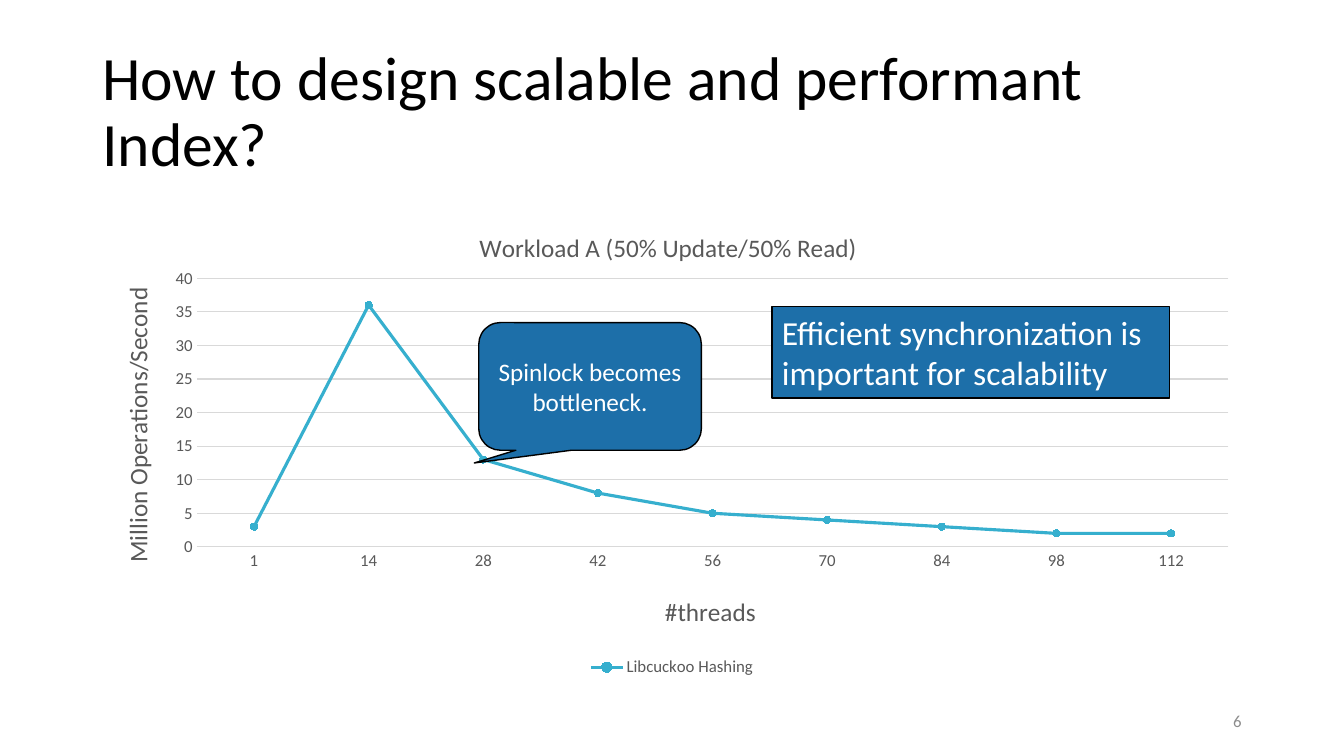
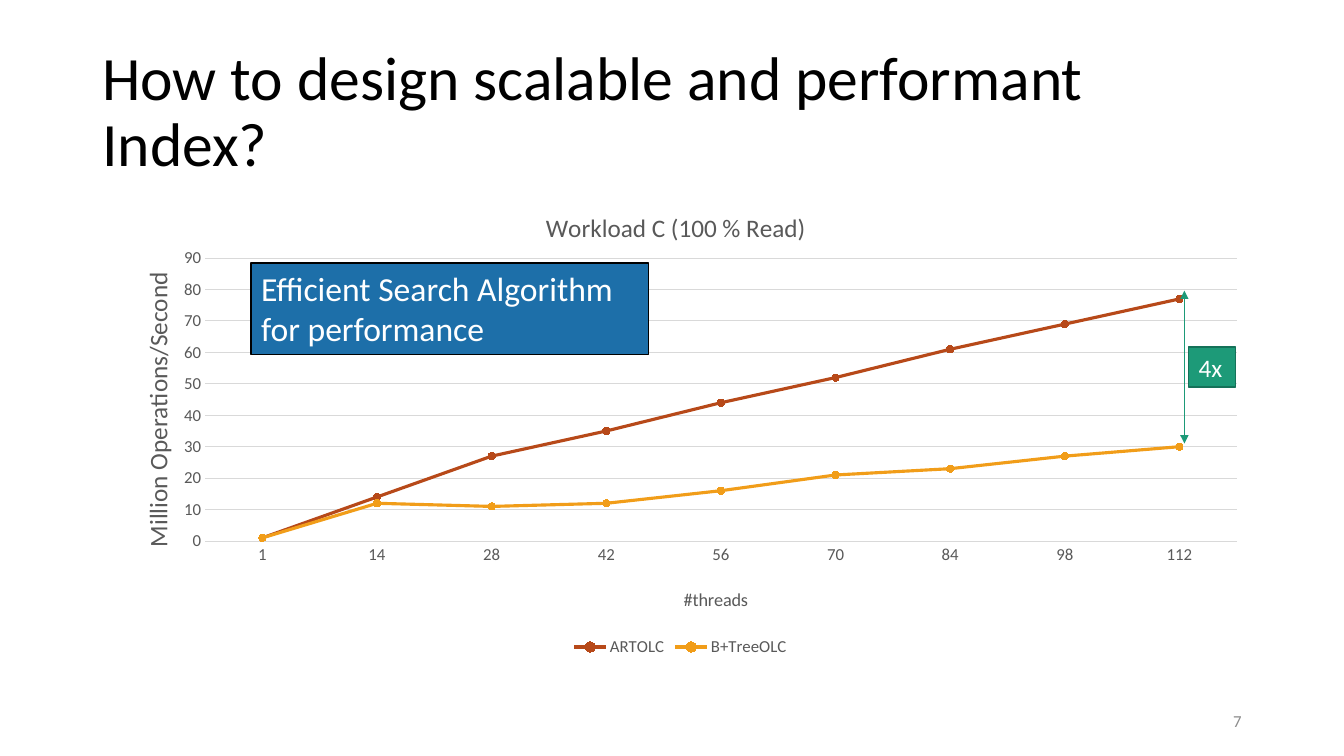
from dataclasses import dataclass

from lxml import etree
from pptx import Presentation
from pptx import util as u
from pptx.chart.data import CategoryChartData
from pptx.dml.color import RGBColor
from pptx.enum import chart as ch, shapes, text
from pptx.oxml import parse_xml
from pptx.oxml.ns import nsdecls, qn


@dataclass(frozen=True)
class Theme:
    font: str = "Calibri"
    black: str = "000000"
    white: str = "FFFFFF"
    gray: str = "595959"
    number: str = "8C8C8C"
    grid: str = "D9D9D9"
    blue: str = "1D6FA9"
    green: str = "1D9A78"
    dark_green: str = "157259"
    cyan: str = "36AFCE"
    red: str = "B74919"
    orange: str = "F19D19"
    title: float = 44
    note: float = 24
    label: float = 18
    axis_title: float = 13
    small: float = 12


T = Theme()
COLS, ROWS = 160, 90
TITLE = "How to design scalable and performant Index?"
THREADS = ["1", "14", "28", "42", "56", "70", "84", "98", "112"]
NOTE_SIZE = (47.3, 10.9)


def rgb(color):
    return RGBColor.from_string(color)


class Deck:
    def __init__(self):
        self.prs = Presentation()
        self.prs.slide_width = u.Inches(13.33)
        self.prs.slide_height = u.Inches(7.5)
        self.s = None

    def x(self, cols):
        return round(self.prs.slide_width * cols / COLS)

    def y(self, rows):
        return round(self.prs.slide_height * rows / ROWS)

    def box(self, left, top, width, height):
        return self.x(left), self.y(top), self.x(width), self.y(height)

    def font(self, f, size, color):
        f.name, f.size, f.bold = T.font, u.Pt(size), False
        f.color.rgb = rgb(color)

    def set_text(self, tf, words, size, color, align="LEFT", anchor="MIDDLE"):
        tf.word_wrap = True
        tf.vertical_anchor = text.MSO_ANCHOR[anchor]
        tf.text = words
        p = tf.paragraphs[0]
        p.alignment = text.PP_ALIGN[align]
        self.font(p.runs[0].font, size, color)
        return p

    def label(self, at, words, size, color, align="LEFT"):
        sp = self.s.shapes.add_textbox(*self.box(*at))
        return self.set_text(sp.text_frame, words, size, color, align)

    def slide(self, number):
        self.s = self.prs.slides.add_slide(self.prs.slide_layouts[6])
        p = self.label((11, 4.8, 140, 17.4), TITLE, T.title, T.black)
        p.line_spacing = 0.9
        self.label((113, 83.4, 36, 4.8), str(number), T.small, T.number, "RIGHT")

    def shape(self, at, words, size, fill=T.blue, line=T.black, kind="RECTANGLE",
              align="LEFT", anchor="TOP", adjust=()):
        sp = self.s.shapes.add_shape(shapes.MSO_SHAPE[kind], *self.box(*at))
        for i, value in enumerate(adjust):
            sp.adjustments[i] = value
        sp.shadow.inherit = False
        sp.fill.solid()
        sp.fill.fore_color.rgb = rgb(fill)
        sp.line.color.rgb = rgb(line)
        sp.line.width = u.Pt(1)
        self.set_text(sp.text_frame, words, size, T.white, align, anchor)

    def double_arrow(self, col, top, bottom, color):
        x = self.x(col)
        cx = self.s.shapes.add_connector(shapes.MSO_CONNECTOR.STRAIGHT,
                                         x, self.y(top), x, self.y(bottom))
        cx.line.color.rgb = rgb(color)
        cx.line.width = u.Pt(0.5)
        ln = cx.line._get_or_add_ln()
        for end in ("a:headEnd", "a:tailEnd"):
            etree.SubElement(ln, qn(end), type="triangle")
        etree.SubElement(cx._element.spPr, qn("a:effectLst"))

    def place(self, parent, index, **shares):
        layout = parent.find(qn("c:layout"))
        if layout is not None:
            parent.remove(layout)
        inner = '<c:layoutTarget val="inner"/>' if "w" in shares else ""
        modes = '<c:xMode val="edge"/><c:yMode val="edge"/>'
        values = "".join(f'<c:{k} val="{v}"/>' for k, v in shares.items())
        parent.insert(index, parse_xml(
            f'<c:layout {nsdecls("c")}><c:manualLayout>{inner}{modes}{values}'
            "</c:manualLayout></c:layout>"))

    def chart_title(self, title, words, size, x, y):
        tf = title.text_frame
        tf.text = words
        self.font(tf.paragraphs[0].runs[0].font, size, T.gray)
        self.place(title._element, 1, x=x, y=y)

    def axis(self, axis, words, size, x, y):
        axis.major_tick_mark = axis.minor_tick_mark = ch.XL_TICK_MARK.NONE
        self.font(axis.tick_labels.font, T.small, T.gray)
        self.chart_title(axis.axis_title, words, size, x, y)

    def chart(self, at, title, series, top, step, plot, title_at, x_title, y_title):
        data = CategoryChartData()
        data.categories = THREADS
        for name, _, values in series:
            data.add_series(name, values)
        c = self.s.shapes.add_chart(ch.XL_CHART_TYPE.LINE_MARKERS,
                                    *self.box(*at, 138, 57.1), data).chart
        self.font(c.font, T.small, T.gray)
        c.has_title = c.has_legend = True
        self.chart_title(c.chart_title, title, T.label, *title_at)
        c.legend.position = ch.XL_LEGEND_POSITION.BOTTOM
        c.legend.include_in_layout = False
        self.font(c.legend.font, T.small, T.gray)

        cat, val = c.category_axis, c.value_axis
        self.axis(cat, "#threads", *x_title)
        cat.format.line.color.rgb = rgb(T.grid)
        cat.format.line.width = u.Pt(0.75)
        self.axis(val, "Million Operations/Second", T.label, *y_title)
        body = val.axis_title.text_frame._txBody.find(qn("a:bodyPr"))
        body.set("rot", "-5400000")
        body.set("vert", "horz")
        val.format.line.fill.background()
        val.minimum_scale, val.maximum_scale, val.major_unit = 0, top, step
        grid = val.major_gridlines.format.line
        grid.color.rgb, grid.width = rgb(T.grid), u.Pt(0.75)

        c.plots[0].vary_by_categories = False
        for line, (_, color, _) in zip(c.plots[0].series, series):
            line.smooth = False
            line.format.line.color.rgb = rgb(color)
            line.format.line.width = u.Pt(2.25)
            line.marker.style = ch.XL_MARKER_STYLE.CIRCLE
            line.marker.size = 5
            line.marker.format.fill.solid()
            line.marker.format.fill.fore_color.rgb = rgb(color)
            line.marker.format.line.color.rgb = rgb(color)
        area = c._chartSpace.chart.plotArea
        self.place(area, 0, **dict(zip("xywh", plot)))


def synchronization(d):
    d.slide(6)
    d.chart((11, 24), "Workload A (50% Update/50% Read)",
            [("Libcuckoo Hashing", T.cyan, (3, 36, 13, 8, 5, 4, 3, 2, 2))],
            40, 5, plot=(0.09, 0.16, 0.89, 0.56), title_at=(0.33, 0.05),
            x_title=(T.label, 0.49, 0.81), y_title=(0.02, 0.17))
    d.shape((91.9, 36.5, *NOTE_SIZE),
            "Efficient synchronization is important for scalability", T.note)
    d.shape((57, 38.4, 26.5, 15.2), "Spinlock becomes bottleneck.", T.label,
            kind="ROUNDED_RECTANGULAR_CALLOUT", align="CENTER", anchor="MIDDLE",
            adjust=(-0.52, 0.6, 0.17))


def search(d):
    d.slide(7)
    d.chart((12, 21.6), "Workload C (100 % Read)",
            [("ARTOLC", T.red, (1, 14, 27, 35, 44, 52, 61, 69, 77)),
             ("B+TreeOLC", T.orange, (1, 12, 11, 12, 16, 21, 23, 27, 30))],
            90, 10, plot=(0.09, 0.16, 0.89, 0.59), title_at=(0.38, 0.05),
            x_title=(T.axis_title, 0.5, 0.84), y_title=(0.03, 0.18))
    d.shape((29.9, 31.3, *NOTE_SIZE),
            "Efficient Search Algorithm for performance", T.note)
    d.double_arrow(141, 34.6, 52.8, T.green)
    d.shape((141.5, 41.3, 5.6, 4.8), "4x", T.label, T.green, T.dark_green)


def main():
    d = Deck()
    synchronization(d)
    search(d)
    d.prs.save("out.pptx")


if __name__ == "__main__":
    main()
